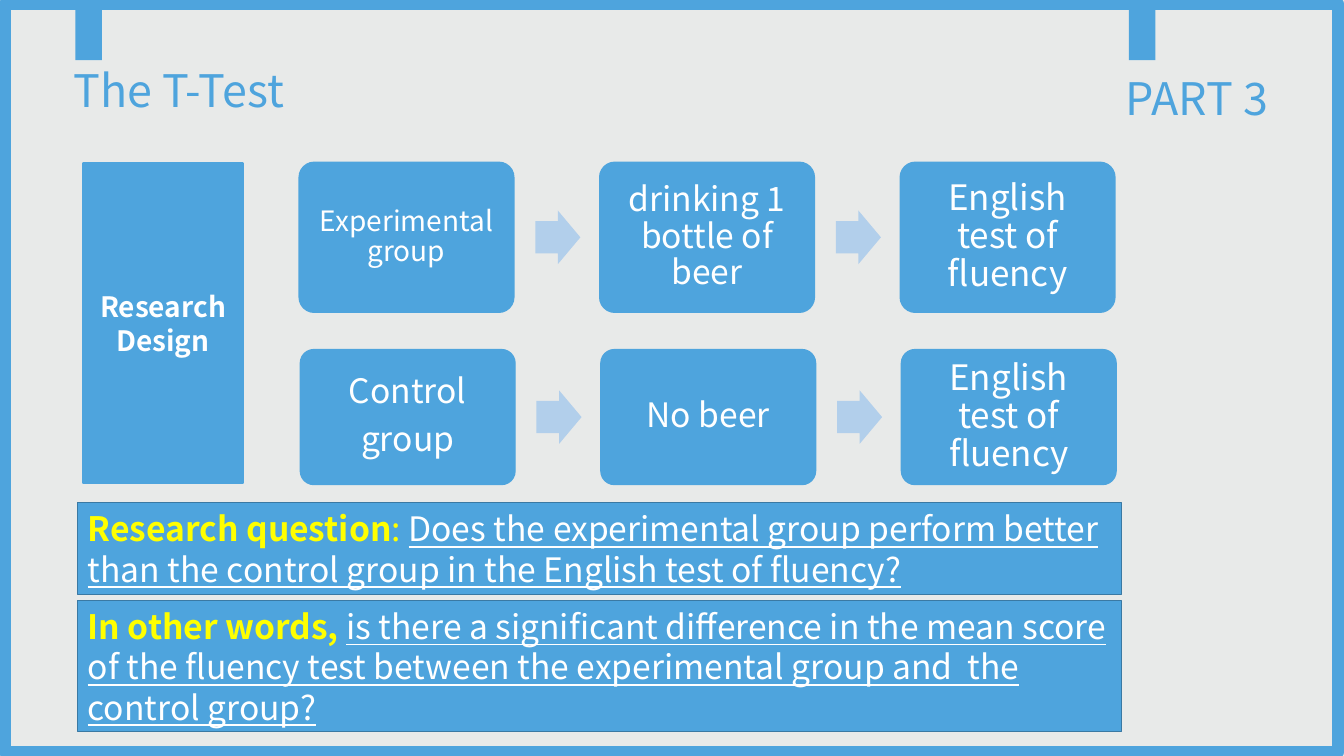
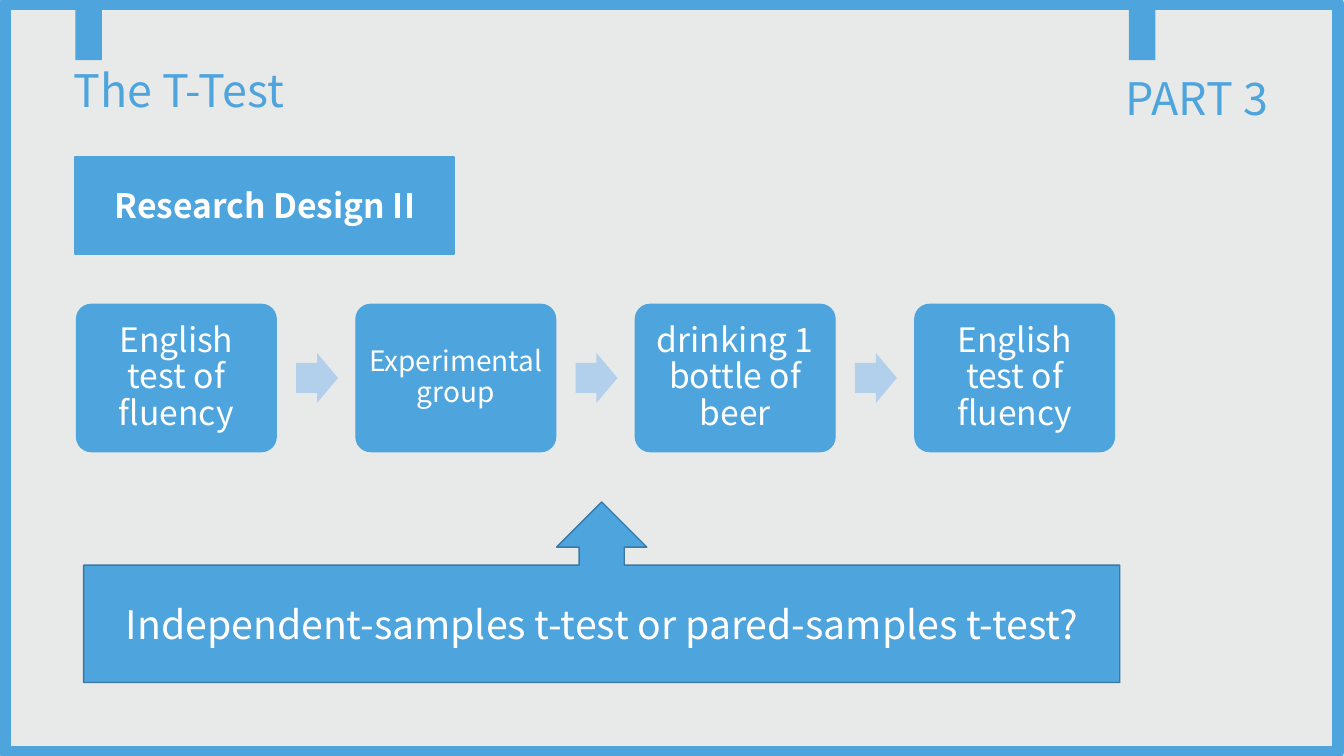
import pptx
import pptx.dml.color
import pptx.enum.shapes
import pptx.enum.text
import pptx.util

Cm = pptx.util.Cm
Pt = pptx.util.Pt
SHAPE = pptx.enum.shapes.MSO_SHAPE
ALIGN = pptx.enum.text.PP_ALIGN
ANCHOR = pptx.enum.text.MSO_ANCHOR

FONT = "Noto Sans CJK SC"
COLORS = {
    "page": "E8EAE9",
    "blue": "4EA4DD",
    "outline": "3A79A3",
    "arrow": "B2CFEB",
    "white": "FFFFFF",
    "yellow": "FFFF00",
}


def color(name):
    return pptx.dml.color.RGBColor.from_string(COLORS[name])


def add_block(page, kind, left, top, width, height, fill="blue", line=None, weight=1):
    block = page.shapes.add_shape(kind, Cm(left), Cm(top), Cm(width), Cm(height))
    block.shadow.inherit = False
    if fill:
        block.fill.solid()
        block.fill.fore_color.rgb = color(fill)
    else:
        block.fill.background()
    if line:
        block.line.color.rgb = color(line)
        block.line.width = Pt(weight)
    else:
        block.line.fill.background()
    return block


def style_paragraph(para, size, ink, bold=False, align=ALIGN.CENTER):
    para.alignment = align
    para.font.name = FONT
    para.font.size = Pt(size)
    para.font.bold = bold
    para.font.color.rgb = color(ink)


def write(box, text, size, ink="white", bold=False, align=ALIGN.CENTER,
          anchor=ANCHOR.MIDDLE, spacing=None, after=None):
    frame = box.text_frame
    frame.word_wrap = True
    frame.vertical_anchor = anchor
    frame.text = text
    for para in frame.paragraphs:
        style_paragraph(para, size, ink, bold, align)
        para.line_spacing = spacing
        para.space_after = after


def add_heading(page, text, left, top, width, height):
    box = page.shapes.add_textbox(Cm(left), Cm(top), Cm(width), Cm(height))
    write(box, text, 32, "blue", align=ALIGN.LEFT, anchor=ANCHOR.TOP, spacing=0.9)


def add_page(deck):
    page = deck.slides.add_slide(deck.slide_layouts[6])
    add_block(page, SHAPE.RECTANGLE, 0.13, 0.1, 33.6, 18.85, None, "blue", 8.5)
    for left in (1.9, 28.45):
        add_block(page, SHAPE.RECTANGLE, left, 0.1, 0.67, 1.42)
    add_heading(page, "PART 3", 28.12, 1.8, 5.74, 1.07)
    add_heading(page, "The T-Test", 1.6, 1.6, 17.7, 1.42)
    return page


def add_label(page, text, size, left, top, width, height):
    label = add_block(page, SHAPE.RECTANGLE, left, top, width, height, line="blue", weight=1.5)
    write(label, text, size, bold=True)


def add_flow(page, left, top, width, height, steps):
    arrow_width, arrow_height = 0.21 * width, 0.25 * width
    for index, (text, size) in enumerate(steps):
        step_left = left + index * 1.4 * width
        if index:
            arrow = add_block(page, SHAPE.RIGHT_ARROW, step_left - 0.3 * width,
                              top + (height - arrow_height) / 2,
                              arrow_width, arrow_height, "arrow")
            arrow.adjustments[0] = 0.6
            arrow.adjustments[1] = 0.5
        step = add_block(page, SHAPE.ROUNDED_RECTANGLE, step_left, top, width, height, line="blue")
        step.adjustments[0] = 0.1
        frame = step.text_frame
        inset = Cm(0.15 if size < 24 else 0.3)
        frame.margin_left = frame.margin_right = inset
        frame.margin_top = frame.margin_bottom = inset
        write(step, text, size, spacing=0.9, after=Pt(0.35 * size))


def add_question(page, lead, joint, question, top, height):
    box = add_block(page, SHAPE.RECTANGLE, 1.96, top, 26.31, height, line="outline")
    frame = box.text_frame
    frame.word_wrap = True
    frame.vertical_anchor = ANCHOR.MIDDLE
    para = frame.paragraphs[0]
    style_paragraph(para, 24, "white", align=ALIGN.LEFT)
    for text, ink, bold, underline in (
        (lead, "yellow", True, False),
        (joint, "yellow", False, False),
        (question, "white", False, True),
    ):
        span = para.add_run()
        span.text = text
        span.font.color.rgb = color(ink)
        span.font.bold = bold
        span.font.underline = underline


def build_design(deck):
    page = add_page(deck)
    add_label(page, "Research Design", 20, 2.1, 4.12, 4.02, 8.05)
    add_flow(page, 7.54, 4.09, 5.41, 3.78, [
        ("Experimental group", 20),
        ("drinking 1 bottle of beer", 24),
        ("English test of fluency", 25),
    ])
    add_flow(page, 7.57, 8.81, 5.41, 3.4, [
        ("Control\ngroup", 24),
        ("No beer", 24),
        ("English test of fluency", 25),
    ])
    add_question(page, "Research question", ": ",
                 "Does the experimental group perform better than the control group "
                 "in the English test of fluency?", 12.67, 2.31)
    add_question(page, "In other words,", " ",
                 "is there a significant difference in the mean score of the fluency test "
                 "between the experimental group and  the control group?", 15.14, 3.3)


def build_second_design(deck):
    page = add_page(deck)
    add_label(page, "Research Design II", 24, 1.9, 3.96, 9.55, 2.44)
    add_flow(page, 1.93, 7.67, 5.03, 3.71, [
        ("English test of fluency", 24),
        ("Experimental group", 20),
        ("drinking 1 bottle of beer", 24),
        ("English test of fluency", 24),
    ])
    callout = add_block(page, SHAPE.UP_ARROW_CALLOUT, 2.11, 12.65, 26.11, 4.55, line="outline")
    write(callout, "Independent-samples t-test or pared-samples t-test?", 28)


def main():
    deck = pptx.Presentation()
    deck.slide_width = Cm(33.87)
    deck.slide_height = Cm(19.05)
    backdrop = deck.slide_master.background.fill
    backdrop.solid()
    backdrop.fore_color.rgb = color("page")
    build_design(deck)
    build_second_design(deck)
    deck.save("out.pptx")


if __name__ == "__main__":
    main()
